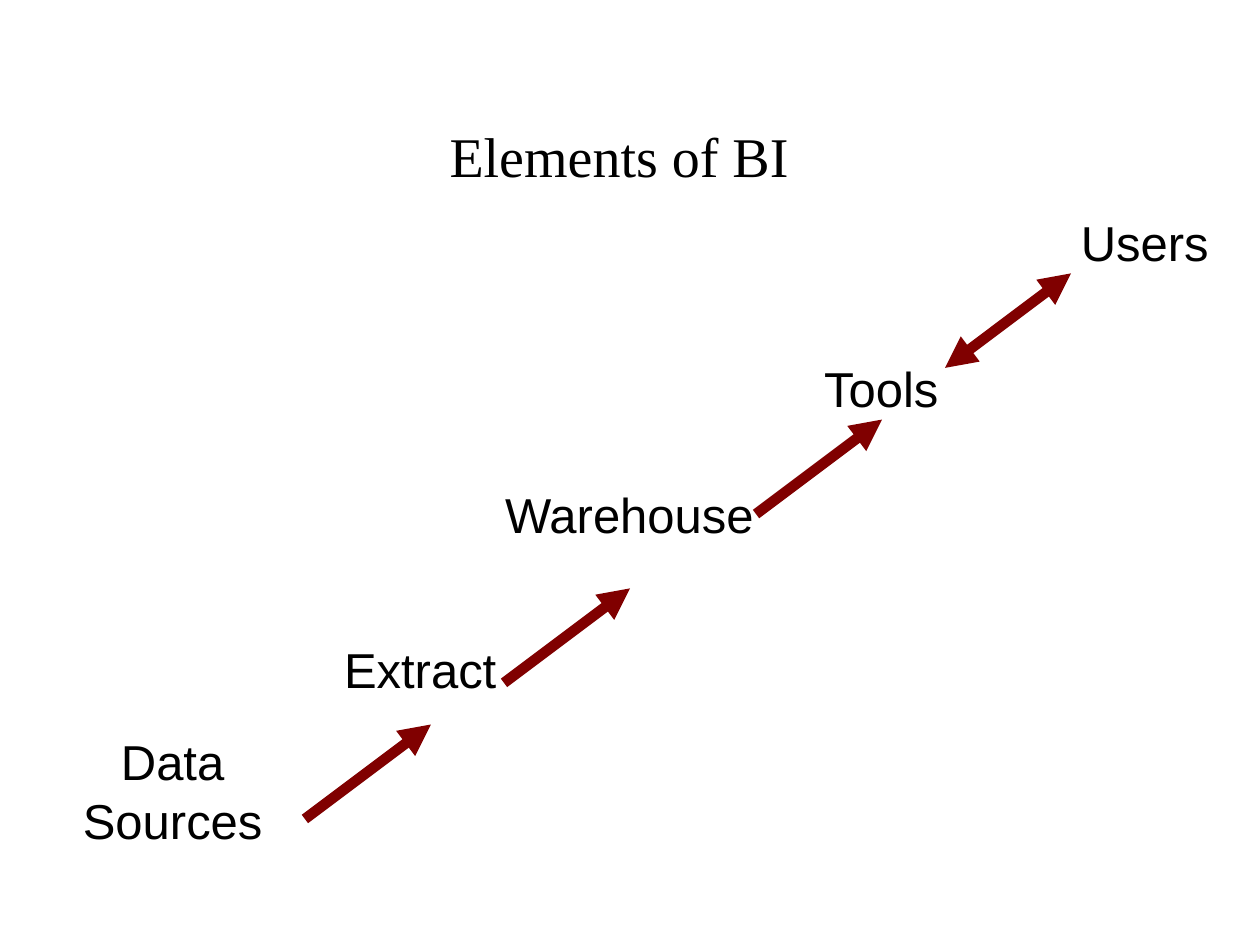
from pptx import Presentation
from pptx.dml.color import RGBColor
from pptx.enum.shapes import MSO_CONNECTOR
from pptx.enum.text import MSO_ANCHOR, PP_ALIGN
from pptx.oxml.ns import qn
from pptx.util import Inches, Pt
from lxml.etree import SubElement

COLORS = {"text": "000000", "arrow": "800000"}
TITLE = ("Elements of BI", (0.25, 0.92, 9.33, 0.63))

# Stage name and its box: left, top, width, height
STAGES = [
    ("Data Sources", (0.33, 5.75, 2.08, 1.04)),
    ("Extract", (2.42, 4.31, 1.83, 1.28)),
    ("Warehouse", (3.83, 3.08, 2.33, 1.28)),
    ("Tools", (6.08, 2.08, 1.83, 1.28)),
    ("Users", (8.17, 0.92, 1.83, 1.28)),
]

# Lower left end of each arrow, and whether it points both ways
FLOWS = [
    (2.42, 6.5, False),
    (4, 5.42, False),
    (6, 4.08, False),
    (7.5, 2.92, True),
]
RUN, RISE = 1, 0.75


def add_label(slide, text, box, font_name, size, anchor):
    frame = slide.shapes.add_textbox(*map(Inches, box)).text_frame
    frame.word_wrap = True
    frame.vertical_anchor = anchor
    paragraph = frame.paragraphs[0]
    paragraph.text = text
    paragraph.alignment = PP_ALIGN.CENTER
    paragraph.font.name = font_name
    paragraph.font.size = Pt(size)
    paragraph.font.color.rgb = RGBColor.from_string(COLORS["text"])


def add_flow(slide, x, y, two_way):
    ends = map(Inches, (x, y, x + RUN, y - RISE))
    arrow = slide.shapes.add_connector(MSO_CONNECTOR.STRAIGHT, *ends)
    arrow.line.width = Pt(6)
    arrow.line.color.rgb = RGBColor.from_string(COLORS["arrow"])
    outline = arrow.line._get_or_add_ln()
    for tag in ("a:headEnd", "a:tailEnd") if two_way else ("a:tailEnd",):
        SubElement(outline, qn(tag), type="triangle")
    SubElement(arrow._element.spPr, qn("a:effectLst"))


def main():
    deck = Presentation()
    deck.slide_width, deck.slide_height = Inches(10), Inches(7.5)
    slide = deck.slides.add_slide(deck.slide_layouts[6])

    add_label(slide, *TITLE, "Times New Roman", 32, MSO_ANCHOR.MIDDLE)
    for stage, box in STAGES:
        add_label(slide, stage, box, "Arial", 28, MSO_ANCHOR.BOTTOM)
    for flow in FLOWS:
        add_flow(slide, *flow)

    deck.save("out.pptx")


if __name__ == "__main__":
    main()
